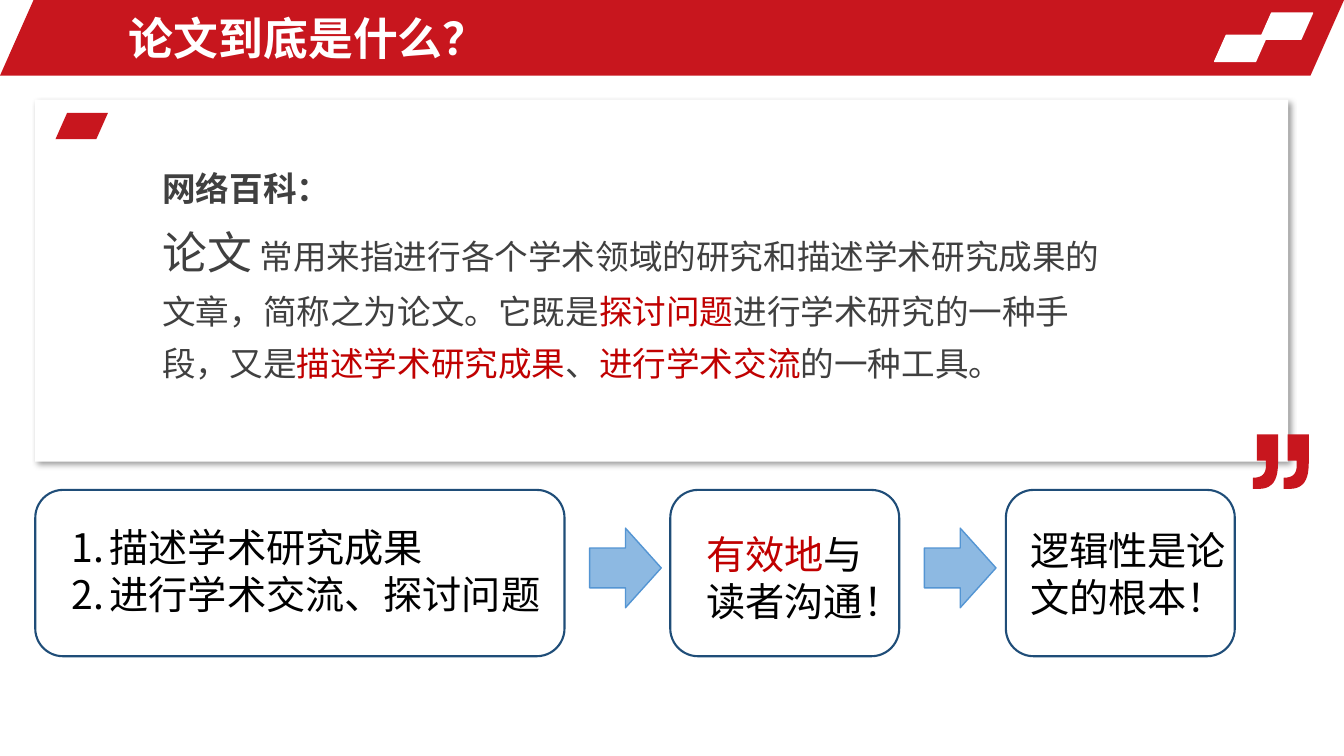
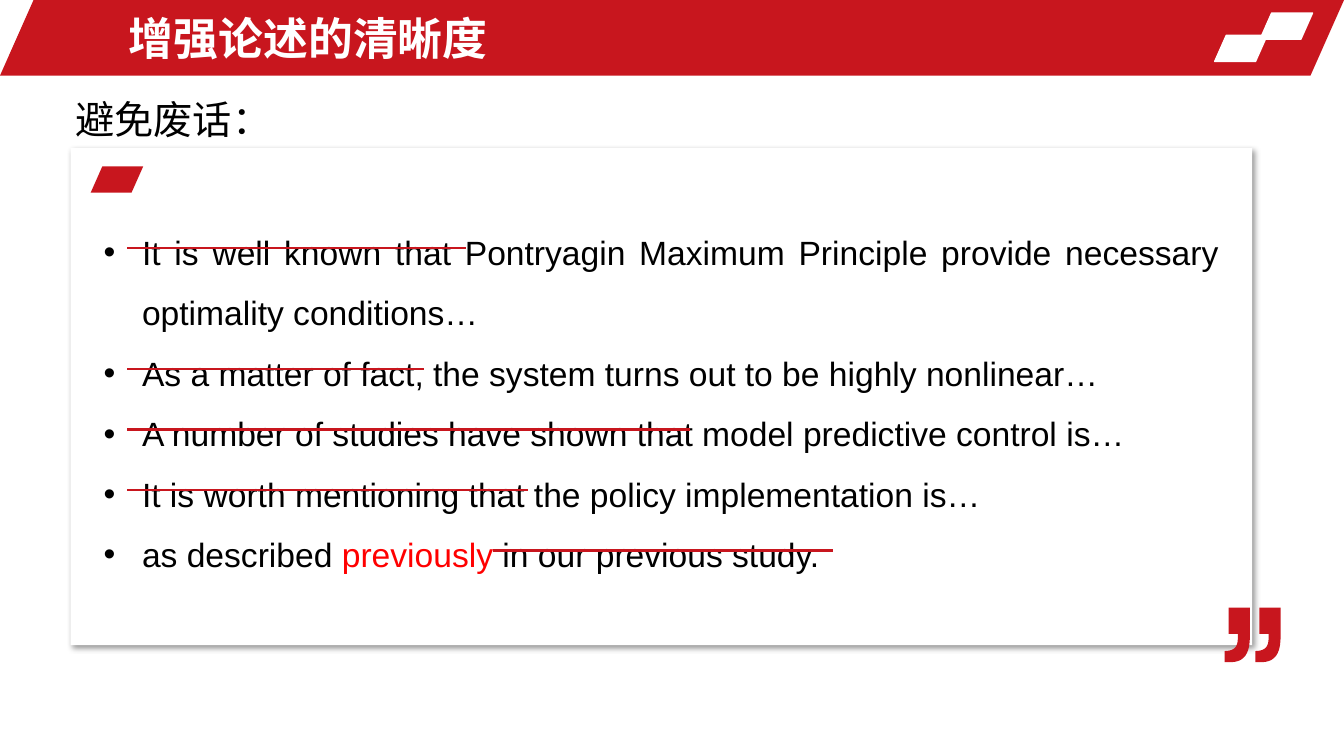
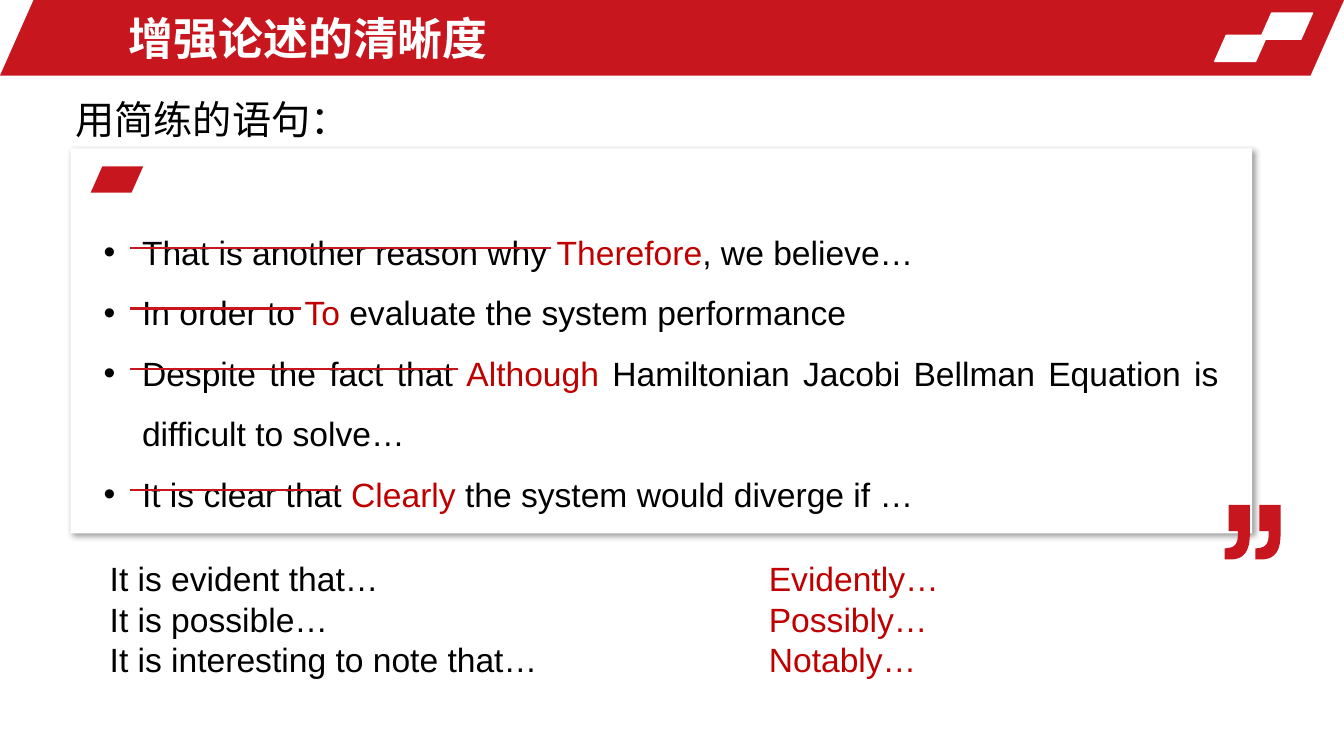
from dataclasses import dataclass
from typing import NamedTuple

from lxml import etree
from pptx import Presentation
from pptx.dml.color import RGBColor
from pptx.enum.shapes import MSO_CONNECTOR, MSO_SHAPE
from pptx.enum.text import MSO_ANCHOR, MSO_AUTO_SIZE, PP_ALIGN
from pptx.oxml.ns import qn
from pptx.util import Inches, Pt

LEFT, JUSTIFY = PP_ALIGN.LEFT, PP_ALIGN.JUSTIFY
TOP, MIDDLE = MSO_ANCHOR.TOP, MSO_ANCHOR.MIDDLE
FIXED = MSO_AUTO_SIZE.NONE
STRAIGHT = MSO_CONNECTOR.STRAIGHT
RECTANGLE = MSO_SHAPE.RECTANGLE
ROUNDED = MSO_SHAPE.ROUNDED_RECTANGLE
SLANTED = MSO_SHAPE.PARALLELOGRAM
ARROW = MSO_SHAPE.RIGHT_ARROW

COLORS = {
    "brand": "C8161E", "white": "FFFFFF", "black": "000000", "gray": "404040",
    "accent": "C00000", "bright": "FF0000", "outline": "1F4D78",
    "arrow": "8DB9E2", "arrow_edge": "5495D3",
}
FONT = "Arial"
COLUMNS, ROWS = 64, 36
SLIDE_WIDTH, SLIDE_HEIGHT = Inches(13.333), Inches(7.5)
CELL = SLIDE_HEIGHT / ROWS
HANGING = Inches(0.38)
SLANT = 0.444
CHIP_WIDTH, CHIP_HEIGHT = 2.5, 1.25
STRIKE_TOP, STRIKE_PITCH = 11.81, 2.88


class Box(NamedTuple):
    """A rectangle in grid columns and rows."""
    column: float
    row: float
    columns: float
    rows: float

    def emu(self) -> list[int]:
        return [round(length * CELL) for length in self]


class Run(NamedTuple):
    text: str
    color: str | None = None
    size: int | None = None
    bold: bool | None = None


class Strike(NamedTuple):
    """A line through the words of one text line."""
    line: int
    start: float
    end: float


@dataclass(frozen=True)
class Card:
    box: Box
    chip: tuple[float, float]
    quote: tuple[float, float]


@dataclass(frozen=True)
class Step:
    outline: Box
    text_box: Box
    paragraphs: list
    numbered: bool = False


@dataclass(frozen=True)
class ClaritySlide:
    lead: str
    card: Card
    list_box: Box
    items: list
    strikes: list[Strike]


def rgb(name: str) -> RGBColor:
    return RGBColor.from_string(COLORS[name])


def set_bullet(paragraph, kind: str | None, value: str = "") -> None:
    properties = paragraph._p.get_or_add_pPr()
    properties.set("marL", str(HANGING if kind else 0))
    properties.set("indent", str(-HANGING if kind else 0))
    if kind == "buChar":
        font = etree.SubElement(properties, qn("a:buFont"))
        font.set("typeface", FONT)
    bullet = etree.SubElement(properties, qn(f"a:{kind or 'buNone'}"))
    if kind:
        bullet.set("char" if kind == "buChar" else "type", value)


def write(frame, paragraphs: list, *, size: int, color: str = "black",
          bold: bool = False, align=LEFT, spacing: float = 1.0,
          anchor=TOP, bullet: tuple = (None,)) -> None:
    """Fill a text frame; each paragraph is a string or a list of runs."""
    frame.word_wrap = True
    frame.auto_size = FIXED
    frame.vertical_anchor = anchor
    for index, content in enumerate(paragraphs):
        paragraph = frame.add_paragraph() if index else frame.paragraphs[0]
        set_bullet(paragraph, *bullet)
        paragraph.alignment = align
        paragraph.line_spacing = spacing
        paragraph.space_before = Pt(0)
        runs = [Run(content)] if isinstance(content, str) else content
        for part in runs:
            run = paragraph.add_run()
            run.text = part.text
            run.font.name = FONT
            run.font.size = Pt(part.size or size)
            run.font.bold = bold if part.bold is None else part.bold
            run.font.color.rgb = rgb(part.color or color)


def add_text(slide, box: Box, paragraphs: list, **style) -> None:
    write(slide.shapes.add_textbox(*box.emu()).text_frame, paragraphs, **style)


def paint(shape, fill: str | None, line: str | None = None, width: float = 1) -> None:
    shape.shadow.inherit = False
    if fill:
        shape.fill.solid()
        shape.fill.fore_color.rgb = rgb(fill)
    else:
        shape.fill.background()
    if line:
        shape.line.color.rgb = rgb(line)
        shape.line.width = Pt(width)
    else:
        shape.line.fill.background()


def add_preset(slide, kind, box: Box, fill: str | None,
               line: str | None = None, width: float = 1):
    shape = slide.shapes.add_shape(kind, *box.emu())
    if kind == SLANTED:
        shape.adjustments[0] = SLANT
    paint(shape, fill, line, width)
    return shape


def add_drop_shadow(shape) -> None:
    effects = shape.element.spPr.find(qn("a:effectLst"))
    shadow = etree.SubElement(effects, qn("a:outerShdw"), blurRad=str(Pt(4)),
                              dist=str(Pt(3)), dir=str(45 * 60000),
                              algn="tl", rotWithShape="0")
    color = etree.SubElement(shadow, qn("a:srgbClr"), val=COLORS["black"])
    etree.SubElement(color, qn("a:alpha"), val="40000")


def bezier(*controls: tuple[float, float], steps: int = 10) -> list:
    """Points on a cubic curve, without its first one."""
    points = []
    for step in range(1, steps + 1):
        t = step / steps
        weights = ((1 - t) ** 3, 3 * t * (1 - t) ** 2, 3 * t * t * (1 - t), t ** 3)
        points.append(tuple(sum(w * c[axis] for w, c in zip(weights, controls))
                            for axis in (0, 1)))
    return points


def add_quote(slide, column: float, row: float) -> None:
    """Draw a closing quotation mark; its outline is in thousandths of an inch."""
    outline = [(250, 0), (250, 280),
               *bezier((250, 280), (250, 460), (190, 540), (60, 540)),
               (0, 540), (0, 430),
               *bezier((0, 430), (90, 430), (130, 390), (130, 310)),
               (130, 260), (40, 260), (40, 0)]
    marks = [[(x + shift, y) for x, y in outline] for shift in (0, 305)]
    builder = slide.shapes.build_freeform(*marks[0][0], scale=Inches(1) / 1000)
    builder.add_line_segments(marks[0][1:], close=True)
    builder.move_to(*marks[1][0])
    builder.add_line_segments(marks[1][1:], close=True)
    paint(builder.convert_to_shape(round(column * CELL), round(row * CELL)), "brand")


def add_card(slide, card: Card) -> None:
    add_drop_shadow(add_preset(slide, RECTANGLE, card.box, "white"))
    add_preset(slide, SLANTED, Box(*card.chip, CHIP_WIDTH, CHIP_HEIGHT), "brand")
    add_quote(slide, *card.quote)


def add_strike(slide, strike: Strike) -> None:
    row = STRIKE_TOP + STRIKE_PITCH * strike.line
    start, end, y = (round(v * CELL) for v in (strike.start, strike.end, row))
    line = slide.shapes.add_connector(STRAIGHT, start, y, end, y)
    line.line.color.rgb = rgb("brand")
    line.line.width = Pt(2)
    etree.SubElement(line.element.spPr, qn("a:effectLst"))


def place(placeholder, box: Box) -> None:
    (placeholder.left, placeholder.top,
     placeholder.width, placeholder.height) = box.emu()


def set_up_layout(layout, slide) -> None:
    """Put the title band on the layout, drawing it by way of a slide."""
    band = [
        add_preset(slide, SLANTED, Box(0, 0, COLUMNS, 3.6), "brand"),
        *(add_preset(slide, SLANTED, Box(column, row, CHIP_WIDTH, CHIP_HEIGHT),
                     "white", "white")
          for column, row in ((60, 0.62), (57.84, 1.68))),
    ]
    for number, shape in enumerate(band, start=101):
        shape.element.nvSpPr.cNvPr.set("id", str(number))
        layout.shapes.element.append(shape.element)
    place(layout.placeholders[0], Box(5.66, 0.24, 37.15, 3.12))


def add_title(slide, title: str) -> None:
    write(slide.shapes.title.text_frame, [title], size=32, color="white",
          bold=True, anchor=MIDDLE)


def add_body(slide, box: Box, paragraphs: list, **style) -> None:
    """Fill the body placeholder and bring it in front of the card."""
    body = slide.placeholders[1]
    place(body, box)
    write(body.text_frame, paragraphs, **style)
    slide.shapes.element.append(body.element)


def build_definition(slide) -> None:
    add_title(slide, "论文到底是什么？")
    add_card(slide, Card(Box(1.68, 4.75, 59.66, 17.23), (2.64, 5.38), (59.66, 20.69)))
    add_body(slide, Box(7.25, 7.2, 45.65, 11.14), [
        [Run("网络百科：", bold=True)],
        [Run("论文", size=32),
         Run(" 常用来指进行各个学术领域的研究和描述学术研究成果的文章，简称之为论文。它既是"),
         Run("探讨问题", "accent"), Run("进行学术研究的一种手段，又是"),
         Run("描述学术研究成果", "accent"), Run("、"),
         Run("进行学术交流", "accent"), Run("的一种工具。")],
    ], size=24, color="gray", spacing=1.3)

    top, height = 23.33, 7.92
    steps = [
        Step(Box(1.68, top, 25.2, height), Box(2.93, 24.67, 23.95, 4.99),
             ["描述学术研究成果", "进行学术交流、探讨问题"], numbered=True),
        Step(Box(31.92, top, 10.9, height), Box(33.17, 25.01, 8.45, 4.99),
             [[Run("有效地", "accent"), Run("与读者沟通！")]]),
        Step(Box(47.9, top, 10.9, height), Box(48.58, 24.82, 10.9, 4.99),
             ["逻辑性是论文的根本！"]),
    ]
    for step in steps:
        add_preset(slide, ROUNDED, step.outline, None, "outline", 1.5)
        bullet = ("buAutoNum", "arabicPeriod") if step.numbered else (None,)
        add_text(slide, step.text_box, step.paragraphs, size=28, bullet=bullet)
    for before in steps[:-1]:
        column = before.outline.column + before.outline.columns + 1.2
        add_preset(slide, ARROW, Box(column, 25.15, 3.41, 3.79), "arrow", "arrow_edge")


def build_clarity(slide, content: ClaritySlide) -> None:
    add_title(slide, "增强论述的清晰度")
    add_text(slide, Box(3.12, 4.32, 54.05, 2.74), [content.lead], size=28, align=JUSTIFY)
    add_card(slide, content.card)
    add_body(slide, content.list_box, content.items, size=24, align=JUSTIFY,
             spacing=1.5, bullet=("buChar", "•"))
    for strike in content.strikes:
        add_strike(slide, strike)


def clarity_card(rows: float, quote_row: float) -> Card:
    return Card(Box(3.36, 7.06, 56.26, rows), (4.32, 7.92), (58.32, quote_row))


AVOID_FILLER = ClaritySlide(
    lead="避免废话：",
    card=clarity_card(23.66, 28.94),
    list_box=Box(4.46, 9.84, 54.05, 19.87),
    items=[
        "It is well known that Pontryagin Maximum Principle provide necessary "
        "optimality conditions…",
        "As a matter of fact, the system turns out to be highly nonlinear…",
        "A number of studies have shown that model predictive control is…",
        "It is worth mentioning that the policy implementation is…",
        [Run("as described "), Run("previously", "bright"),
         Run(" in our previous study.")],
    ],
    strikes=[Strike(0, 6.05, 22.18), Strike(2, 6.05, 20.21), Strike(3, 6.05, 32.88),
             Strike(4, 6.05, 25.15), Strike(5, 23.47, 39.65)],
)

BE_CONCISE = ClaritySlide(
    lead="用简练的语句：",
    card=clarity_card(18.34, 24.05),
    list_box=Box(4.46, 9.84, 54.05, 14.69),
    items=[
        [Run("That is another reason why "), Run("Therefore", "accent"),
         Run(", we believe…")],
        [Run("In order to "), Run("To", "accent"),
         Run(" evaluate the system performance")],
        [Run("Despite the fact that "), Run("Although", "accent"),
         Run(" Hamiltonian Jacobi Bellman Equation is difficult to solve…")],
        [Run("It is clear that "), Run("Clearly ", "accent"),
         Run("the system would diverge if …")],
    ],
    strikes=[Strike(0, 6.19, 26.26), Strike(1, 6.19, 14.35),
             Strike(2, 6.19, 21.79), Strike(4, 6.19, 16.22)],
)


def main() -> None:
    deck = Presentation()
    deck.slide_width, deck.slide_height = SLIDE_WIDTH, SLIDE_HEIGHT
    layout = deck.slide_layouts[1]
    definition, filler, concise = (deck.slides.add_slide(layout) for _ in range(3))
    set_up_layout(layout, definition)

    build_definition(definition)
    build_clarity(filler, AVOID_FILLER)
    build_clarity(concise, BE_CONCISE)
    add_text(concise, Box(4.75, 26.35, 21.5, 6.29),
             ["It is evident that…", "It is possible…",
              "It is interesting to note that…"], size=24)
    add_text(concise, Box(36.14, 26.35, 9.17, 6.29),
             ["Evidently…", "Possibly…", "Notably…"], size=24, color="accent")
    deck.save("out.pptx")


if __name__ == "__main__":
    main()
